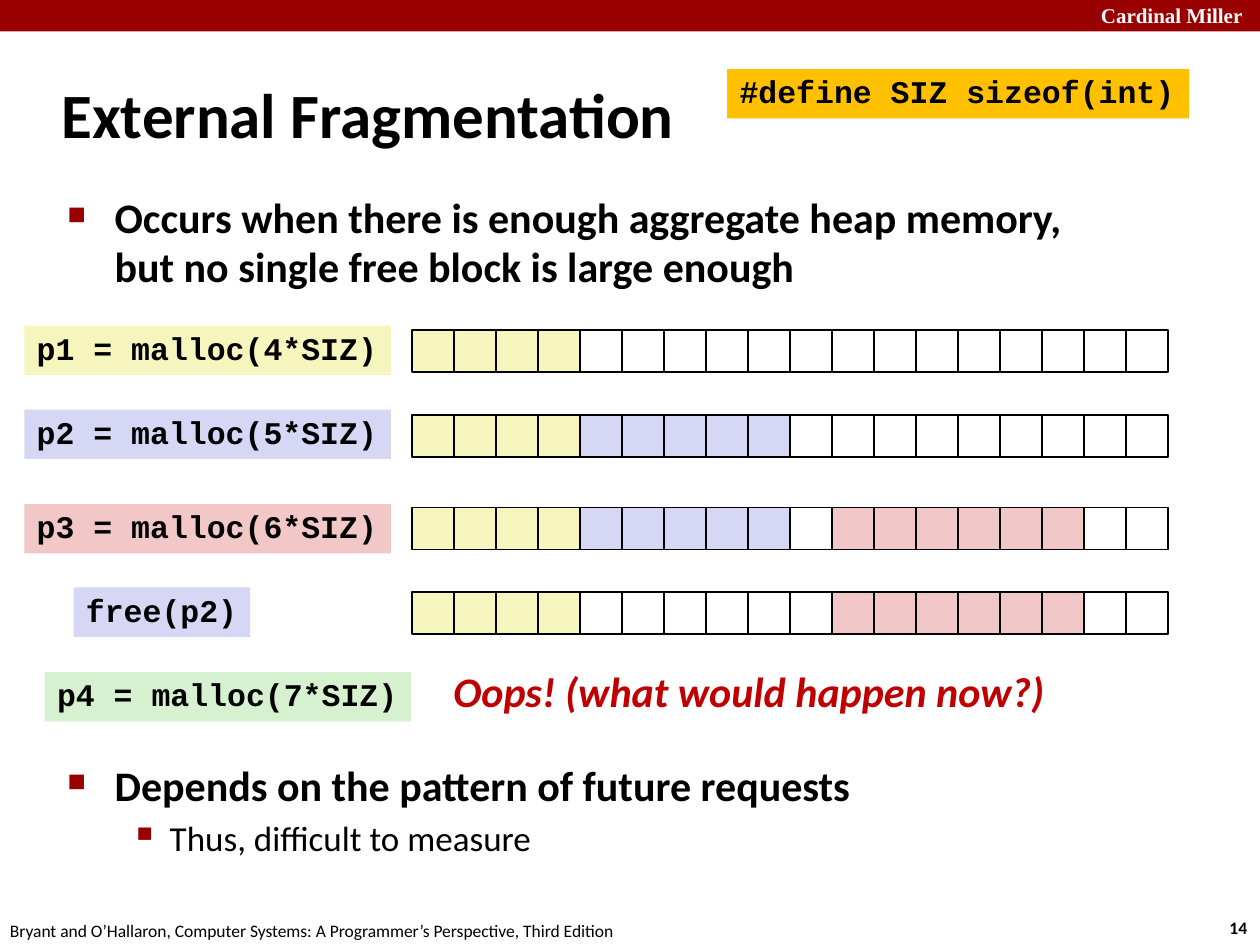
from lxml import etree
from pptx import Presentation
from pptx.dml.color import RGBColor
from pptx.enum.shapes import MSO_SHAPE
from pptx.enum.text import MSO_ANCHOR, PP_ALIGN
from pptx.oxml.ns import qn
from pptx.util import Pt

RECTANGLE = MSO_SHAPE.RECTANGLE
TOP, MIDDLE = MSO_ANCHOR.TOP, MSO_ANCHOR.MIDDLE
LEFT = PP_ALIGN.LEFT

COLORS = {
    "black": "000000", "white": "FFFFFF", "banner": "990000", "alert": "C00000",
    "define": "FFC000", "p1": "F6F5BD", "p2": "D6D6F5", "p3": "F1C7C7", "p4": "D5F1CF",
}
SANS, MONO, SERIF = "Calibri", "Courier New", "Times New Roman"
CELL = 24
HEAP_LEFT = 235.5
LABEL_HEIGHT = 28.2


class Slide:
    def __init__(self, deck):
        self.page = deck.slides.add_slide(deck.slide_layouts[6])

    def color(self, name):
        return RGBColor.from_string(COLORS[name])

    def style(self, para, size, font=SANS, color="black", bold=False, italic=False):
        para.alignment = LEFT
        for span in para.runs:
            span.font.size = Pt(size)
            span.font.name = font
            span.font.bold = bold
            span.font.italic = italic
            span.font.color.rgb = self.color(color)

    def rectangle(self, left, top, width, height, fill, outlined=False, parent=None):
        shapes = (parent or self.page).shapes
        box = shapes.add_shape(RECTANGLE, Pt(left), Pt(top), Pt(width), Pt(height))
        box.shadow.inherit = False
        box.fill.solid()
        box.fill.fore_color.rgb = self.color(fill)
        if outlined:
            box.line.color.rgb = self.color("black")
            box.line.width = Pt(1)
        else:
            box.line.fill.background()
        return box

    def text(self, left, top, width, height, words, size, wrap=False, anchor=TOP, **look):
        box = self.page.shapes.add_textbox(Pt(left), Pt(top), Pt(width), Pt(height))
        frame = box.text_frame
        frame.word_wrap = wrap
        frame.vertical_anchor = anchor
        frame.text = words
        self.style(frame.paragraphs[0], size, **look)

    def code(self, left, top, width, words, fill):
        frame = self.rectangle(left, top, width, LABEL_HEIGHT, fill).text_frame
        frame.word_wrap = False
        frame.vertical_anchor = TOP
        frame.text = words
        para = frame.paragraphs[0]
        para.line_spacing = 0.94
        self.style(para, 18, font=MONO, bold=True)

    def heap(self, top, blocks):
        row = self.page.shapes.add_group_shape()
        fills = [fill for fill, count in blocks for _ in range(count)]
        for index, fill in enumerate(fills):
            self.rectangle(HEAP_LEFT + index * CELL, top, CELL, CELL, fill, True, row)

    def bullet(self, para, char, percent, margin, hanging):
        props = para._p.get_or_add_pPr()
        props.set("marL", str(Pt(margin)))
        props.set("indent", str(-Pt(hanging)))
        color = etree.SubElement(props, qn("a:buClr"))
        etree.SubElement(color, qn("a:srgbClr"), val=COLORS["banner"])
        etree.SubElement(props, qn("a:buSzPct"), val=str(percent * 1000))
        etree.SubElement(props, qn("a:buChar"), char=char)

    def bullets(self, left, top, width, height, items):
        box = self.page.shapes.add_textbox(Pt(left), Pt(top), Pt(width), Pt(height))
        frame = box.text_frame
        frame.word_wrap = True
        for index, (words, level, before) in enumerate(items):
            para = frame.add_paragraph() if index else frame.paragraphs[0]
            para.text = words
            para.level = level
            para.line_spacing = 0.98
            para.space_before = Pt(before)
            if level:
                self.bullet(para, "▪", 110, 58.5, 22.5)
                self.style(para, 20)
            else:
                self.bullet(para, "■", 60, 27, 27)
                self.style(para, 24, bold=True)


deck = Presentation()
deck.slide_width, deck.slide_height = Pt(720), Pt(540)
slide = Slide(deck)

slide.rectangle(0, 0, 720, 18, "banner")
slide.text(622, -2, 99, 21.6, "Cardinal Miller", 12,
           font=SERIF, color="white", bold=True)
slide.text(695.5, 520.5, 26.6, 19.4, "14", 10, bold=True)
slide.text(-1.4, 522, 366, 19.4,
           "Bryant and O’Hallaron, Computer Systems: "
           "A Programmer’s Perspective, Third Edition", 10)

slide.text(28, 34.5, 598, 60, "External Fragmentation", 36,
           wrap=True, anchor=MIDDLE, bold=True)
slide.bullets(31.4, 107.3, 607, 392, [
    ("Occurs when there is enough aggregate heap memory, "
     "but no single free block is large enough", 0, 0),
    ("Depends on the pattern of future requests", 0, 268),
    ("Thus, difficult to measure", 1, 4),
])

CODE_LABELS = [
    (415.5, 39.5, 264, "#define SIZ sizeof(int)", "define"),
    (13.9, 186, 209.5, "p1 = malloc(4*SIZ)", "p1"),
    (13.9, 234, 209.5, "p2 = malloc(5*SIZ)", "p2"),
    (13.9, 288, 209.5, "p3 = malloc(6*SIZ)", "p3"),
    (42, 335.7, 101, "free(p2)", "p2"),
    (25.5, 384, 209.5, "p4 = malloc(7*SIZ)", "p4"),
]
for label in CODE_LABELS:
    slide.code(*label)

HEAPS = [
    (188.6, [("p1", 4), ("white", 14)]),
    (237, [("p1", 4), ("p2", 5), ("white", 9)]),
    (290, [("p1", 4), ("p2", 5), ("white", 1), ("p3", 6), ("white", 2)]),
    (338.2, [("p1", 4), ("white", 6), ("p3", 6), ("white", 2)]),
]
for top, blocks in HEAPS:
    slide.heap(top, blocks)

slide.text(252, 376.9, 355, 36, "Oops! (what would happen now?)", 24,
           color="alert", bold=True, italic=True)

deck.save("out.pptx")
